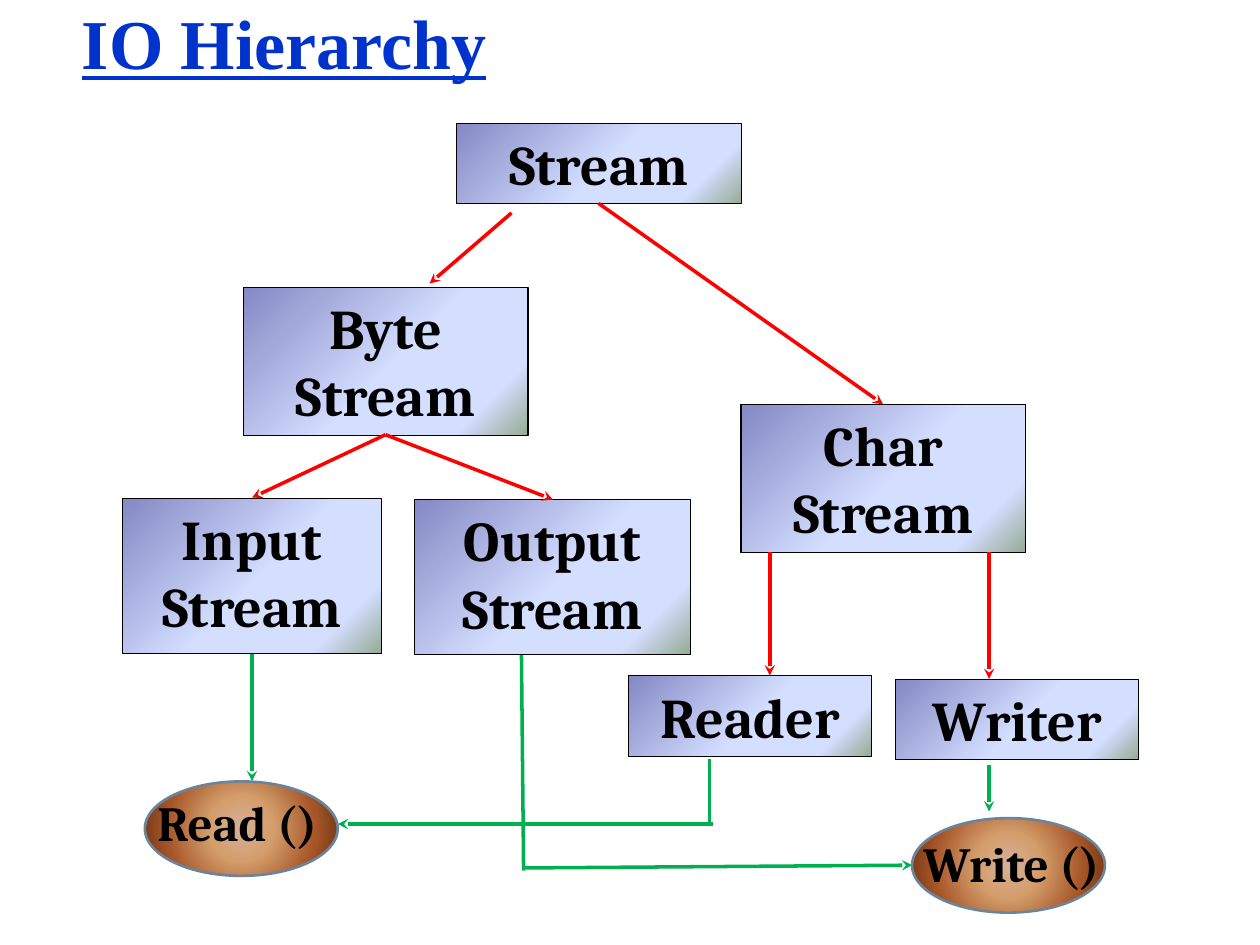
"""Build the IO Hierarchy slide: stream classes, their methods and arrows."""
from pptx import Presentation
from pptx import util as u
from pptx.dml.color import RGBColor
from pptx.enum import shapes, text
from pptx.oxml import parse_xml
from pptx.oxml.ns import nsdecls, qn

RED, GREEN, BLACK = "FF0000", "00B050", "000000"
TITLE = ("IO Hierarchy", (39.6, 5, 576.7, 33.1))
CLASSES = [
    ("Stream", (260.9, 70.5, 162.7, 46)),
    ("Byte Stream", (139, 164.2, 162.7, 84.5)),
    ("Char Stream", (423.4, 231.1, 162.7, 84.5)),
    ("Input\nStream", (70, 284.7, 148.2, 88.6)),
    ("Output Stream", (237, 285.5, 157.6, 88.6)),
    ("Reader", (359.2, 386.2, 138.9, 46)),
    ("Writer", (511.9, 388.2, 138.9, 46)),
]
METHODS = [
    ("Read ()", (82.8, 446.5, 110.2, 54), (82.8, 449.3, 114.5, 41)),
    ("Write ()", (521.2, 467.5, 110.2, 54), (520.6, 473, 125.3, 41)),
]
LINES = [
    (RED, True, [
        (292.3, 121.7, 245.5, 162), (220.3, 248.4, 144, 284.4),
        (439.9, 315.4, 439.9, 386), (342, 116.2, 504.7, 231.1),
        (220.3, 248.4, 316, 285.5), (565.2, 315.4, 565.2, 388)]),
    (GREEN, True, [
        (144, 373.7, 144, 446.4), (407.5, 470.9, 193, 470.9),
        (565.2, 437, 565.2, 463.7), (298.8, 496, 521.3, 494.4)]),
    (GREEN, False, [(298, 374.4, 299.2, 497.5), (405.4, 434, 405.4, 470.9)]),
]
CLASS_STOPS = [(0, "8488C4"), (53, "D4DEFF"), (83, "D4DEFF"), (100, "96AB94")]
METHOD_STOPS = [(0, "D6B19C"), (30, "D49E6C"), (70, "A65528"), (100, "663012")]
LINEAR = '<a:lin ang="2700000" scaled="0"/>'
RADIAL = ('<a:path path="circle"><a:fillToRect l="50000" t="50000" '
          'r="50000" b="50000"/></a:path>')


def color(value):
    return RGBColor.from_string(value)


def points(values):
    return [u.Pt(value) for value in values]


def write(shape, words, size, align, font="Cambria", ink=BLACK, **extra):
    frame = shape.text_frame
    frame.text = words
    frame.word_wrap = True
    for para in frame.paragraphs:
        para.alignment = align
        for span in para.runs:
            values = {"name": font, "size": u.Pt(size), "bold": True, **extra}
            for name, value in values.items():
                setattr(span.font, name, value)
            span.font.color.rgb = color(ink)
    return frame


def add_figure(slide, kind, place, stops, direction, outline, weight):
    shape = slide.shapes.add_shape(kind, *points(place))
    shape.shadow.inherit = False
    shape.fill.gradient()
    stop_xml = "".join(
        f'<a:gs pos="{at * 1000}"><a:srgbClr val="{value}"/></a:gs>'
        for at, value in stops)
    gradient = parse_xml(
        f'<a:gradFill {nsdecls("a")} rotWithShape="1">'
        f"<a:gsLst>{stop_xml}</a:gsLst>{direction}</a:gradFill>")
    properties = shape._element.spPr
    properties.replace(properties.find(qn("a:gradFill")), gradient)
    shape.line.color.rgb = color(outline)
    shape.line.width = u.Pt(weight)
    return shape


def add_line(slide, ends, ink, arrow):
    line = slide.shapes.add_connector(
        shapes.MSO_CONNECTOR.STRAIGHT, *points(ends))
    line.line.color.rgb = color(ink)
    line.line.width = u.Pt(2)
    if arrow:
        line.line._get_or_add_ln().append(
            parse_xml(f'<a:tailEnd {nsdecls("a")} type="stealth"/>'))
    line._element.spPr.append(parse_xml(f'<a:effectLst {nsdecls("a")}/>'))


def add_title(slide):
    words, place = TITLE
    title = slide.shapes.title
    title.left, title.top, title.width, title.height = points(place)
    frame = write(title, words, 40, text.PP_ALIGN.LEFT,
                  "Times New Roman", "0033CC", underline=True)
    frame.auto_size = text.MSO_AUTO_SIZE.NONE
    frame.vertical_anchor = text.MSO_ANCHOR.MIDDLE
    frame.paragraphs[0].line_spacing = 1.1


def main():
    deck = Presentation()
    deck.slide_width, deck.slide_height = points((720, 540))
    slide = deck.slides.add_slide(deck.slide_layouts[5])
    add_title(slide)
    for words, place in CLASSES:
        box = add_figure(slide, shapes.MSO_SHAPE.RECTANGLE, place,
                         CLASS_STOPS, LINEAR, BLACK, 0.75)
        frame = write(box, words, 32, text.PP_ALIGN.CENTER)
        frame.vertical_anchor = text.MSO_ANCHOR.TOP
    for ink, arrow, group in LINES:
        for ends in group:
            add_line(slide, ends, ink, arrow)
    for words, oval, label in METHODS:
        add_figure(slide, shapes.MSO_SHAPE.OVAL, oval,
                   METHOD_STOPS, RADIAL, "6C8499", 1.5)
        write(slide.shapes.add_textbox(*points(label)), words, 28,
              text.PP_ALIGN.LEFT)
    deck.save("out.pptx")


if __name__ == "__main__":
    main()
